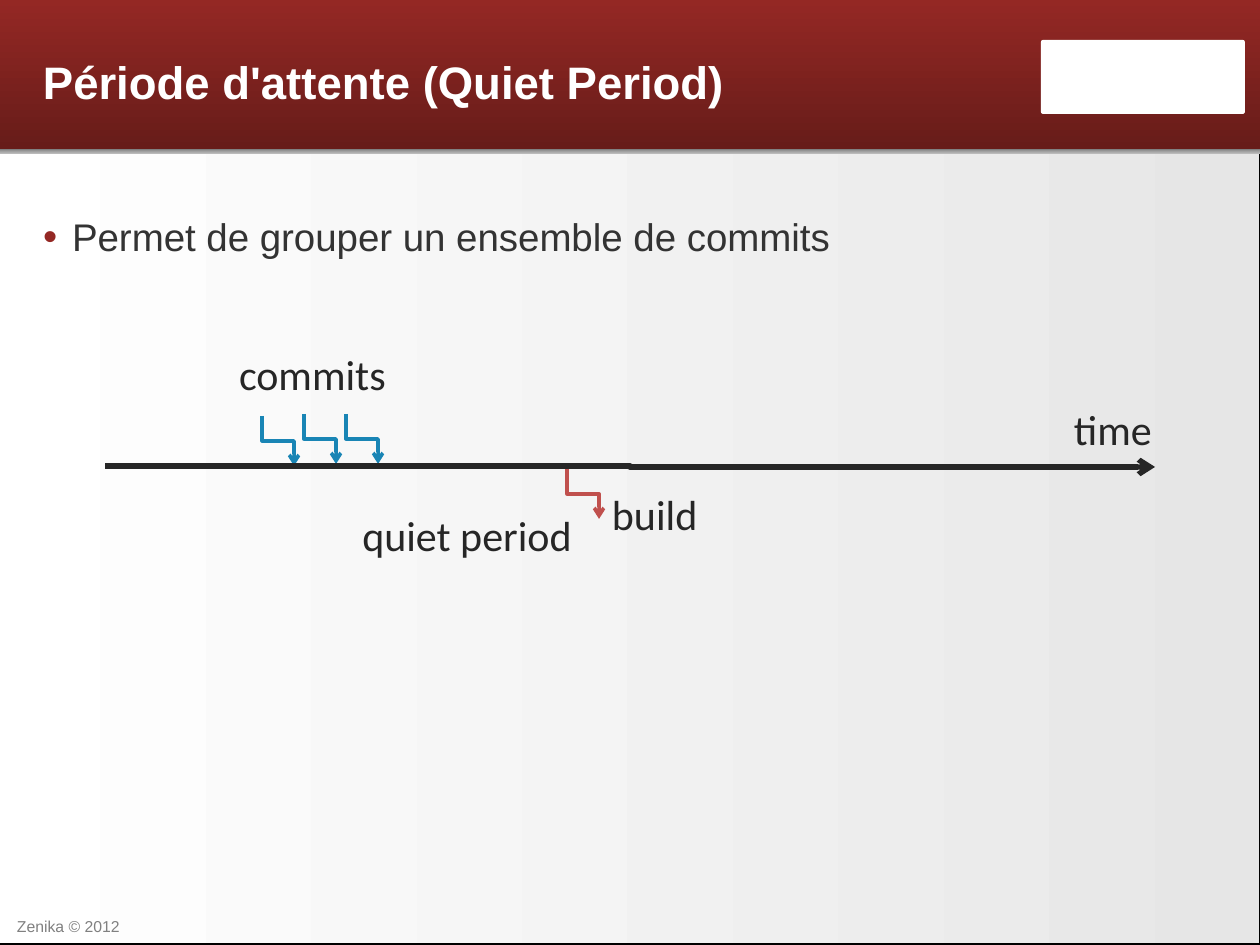
from pptx import Presentation
from pptx.dml.color import RGBColor
from pptx.enum.shapes import MSO_CONNECTOR, MSO_SHAPE
from pptx.enum.text import MSO_ANCHOR, PP_ALIGN
from pptx.oxml.ns import qn
from pptx.util import Emu, Pt
from lxml import etree

RECT, ROUND = MSO_SHAPE.RECTANGLE, MSO_SHAPE.ROUNDED_RECTANGLE
ELBOW = MSO_CONNECTOR.ELBOW
TOP, MIDDLE = MSO_ANCHOR.TOP, MSO_ANCHOR.MIDDLE
LEFT, CENTER, JUSTIFY = PP_ALIGN.LEFT, PP_ALIGN.CENTER, PP_ALIGN.JUSTIFY

WHITE = RGBColor(0xFF, 0xFF, 0xFF)
BLACK = RGBColor(0, 0, 0)
PALE = RGBColor(0xE6, 0xE6, 0xE6)
SKY = RGBColor(0xD5, 0xDF, 0xE7)
SNOW = RGBColor(0xFE, 0xFE, 0xFE)
RED = RGBColor(0x94, 0x28, 0x24)
MAROON = RGBColor(0x67, 0x1C, 0x19)
SILVER = RGBColor(0xC0, 0xC0, 0xC0)
GRAY = RGBColor(0x80, 0x80, 0x80)
DARK = RGBColor(0x33, 0x33, 0x33)
INK = RGBColor(0x26, 0x26, 0x26)
BLUE = RGBColor(0x19, 0x85, 0xB5)
CORAL = RGBColor(0xC0, 0x50, 0x4D)


def px(*values):
    """Turn pixel lengths into EMU."""
    return [Emu(round(value * 914400 / 126)) for value in values]


def blend(fill, first, last, angle=0):
    """Apply a two-stop linear gradient."""
    fill.gradient()
    fill.gradient_angle = angle
    for stop, color in zip(fill.gradient_stops, (first, last)):
        stop.color.rgb = color


def add_block(slide, kind, box, colors, angle=0, round_by=0, edge=None):
    """Add a plain or gradient block."""
    shape = slide.shapes.add_shape(kind, *px(*box))
    shape.shadow.inherit = False
    if kind == ROUND:
        shape.adjustments[0] = round_by
    if len(colors) == 2:
        blend(shape.fill, *colors, angle)
    else:
        shape.fill.solid()
        shape.fill.fore_color.rgb = colors[0]
    if edge is None:
        shape.line.fill.background()
    else:
        shape.line.color.rgb = edge
        shape.line.width = Pt(0.75)


def add_text(slide, box, text, size, color, font="Arial", bold=False,
             align=LEFT, anchor=TOP, inset=(0, 0), spacing=None):
    """Add a one-paragraph text box and return the paragraph."""
    frame = slide.shapes.add_textbox(*px(*box)).text_frame
    frame.word_wrap = True
    frame.vertical_anchor = anchor
    frame.margin_left, frame.margin_top = px(*inset)
    frame.margin_right, frame.margin_bottom = px(*inset)
    para = frame.paragraphs[0]
    para.text = text
    para.alignment = align
    para.line_spacing = spacing
    face = para.runs[0].font
    face.name, face.size, face.bold = font, Pt(size), bold
    face.color.rgb = color
    return para


def add_bullet(para, color, indent):
    """Give a paragraph a coloured hanging bullet."""
    props = para._p.get_or_add_pPr()
    space = px(indent)[0]
    props.set("marL", str(space))
    props.set("indent", str(-space))
    tint = etree.SubElement(props, qn("a:buClr"))
    etree.SubElement(tint, qn("a:srgbClr"), val=str(color))
    etree.SubElement(props, qn("a:buSzPct"), val="105000")
    etree.SubElement(props, qn("a:buFont"), typeface="Arial")
    etree.SubElement(props, qn("a:buChar"), char="•")


def add_label(slide, box, text, align=LEFT):
    """Add a diagram label."""
    add_text(slide, box, text, 24, INK, "Calibri", align=align,
             inset=(13, 6), spacing=0.9)


def add_arrow(slide, start, end, color, width):
    """Add an elbow arrow and return it."""
    arrow = slide.shapes.add_connector(ELBOW, *px(*start, *end))
    arrow.line.color.rgb = color
    arrow.line.width = Pt(width)
    props = arrow.element.spPr
    etree.SubElement(props.find(qn("a:ln")), qn("a:tailEnd"), type="arrow")
    etree.SubElement(props, qn("a:effectLst"))
    return arrow


def add_step(slide, left, top, color):
    """Add an arrow that goes down, right and down again."""
    wide, high = 16, 25
    x, y = left + wide, top + high
    arrow = add_arrow(slide, (x + high, y - wide), (x - high, y + wide),
                      color, 2)
    arrow.element.spPr.find(qn("a:xfrm")).set("rot", "16200000")


def add_frame(slide):
    """Add the background, header band and footer."""
    blend(slide.background.fill, SKY, SNOW)
    add_block(slide, ROUND, (-5, 148, 1265, 796), (WHITE, PALE), edge=BLACK)
    add_block(slide, ROUND, (-5, 0, 1265, 149), (RED, MAROON), 270)
    add_block(slide, RECT, (-5, 149, 1265, 5), (SILVER, GRAY), 90)
    add_block(slide, ROUND, (1041, 40, 204, 74), (WHITE,), round_by=0.03)
    add_text(slide, (4, 911, 149, 21), "Zenika © 2012", 9, GRAY,
             align=JUSTIFY, inset=(13, 6))


def main():
    """Build the slide."""
    deck = Presentation()
    deck.slide_width, deck.slide_height = px(1260, 945)
    slide = deck.slides.add_slide(deck.slide_layouts[6])
    add_frame(slide)
    add_text(slide, (43, 13, 970, 137), "Période d'attente (Quiet Period)",
             26, WHITE, bold=True, anchor=MIDDLE)
    point = add_text(slide, (43, 213, 1163, 693),
                     "Permet de grouper un ensemble de commits", 22, DARK)
    add_bullet(point, RED, 29)
    add_label(slide, (1061, 403, 116, 58), "time")
    for left, top in ((262, 416), (304, 414), (346, 414)):
        add_step(slide, left, top, BLUE)
    add_step(slide, 567, 469, CORAL)
    add_label(slide, (599, 488, 116, 58), "build")
    add_label(slide, (226, 348, 220, 58), "commits")
    add_arrow(slide, (105, 466), (1155, 467), INK, 3)
    add_label(slide, (294, 509, 346, 58), "quiet period", CENTER)
    deck.save("out.pptx")


if __name__ == "__main__":
    main()
